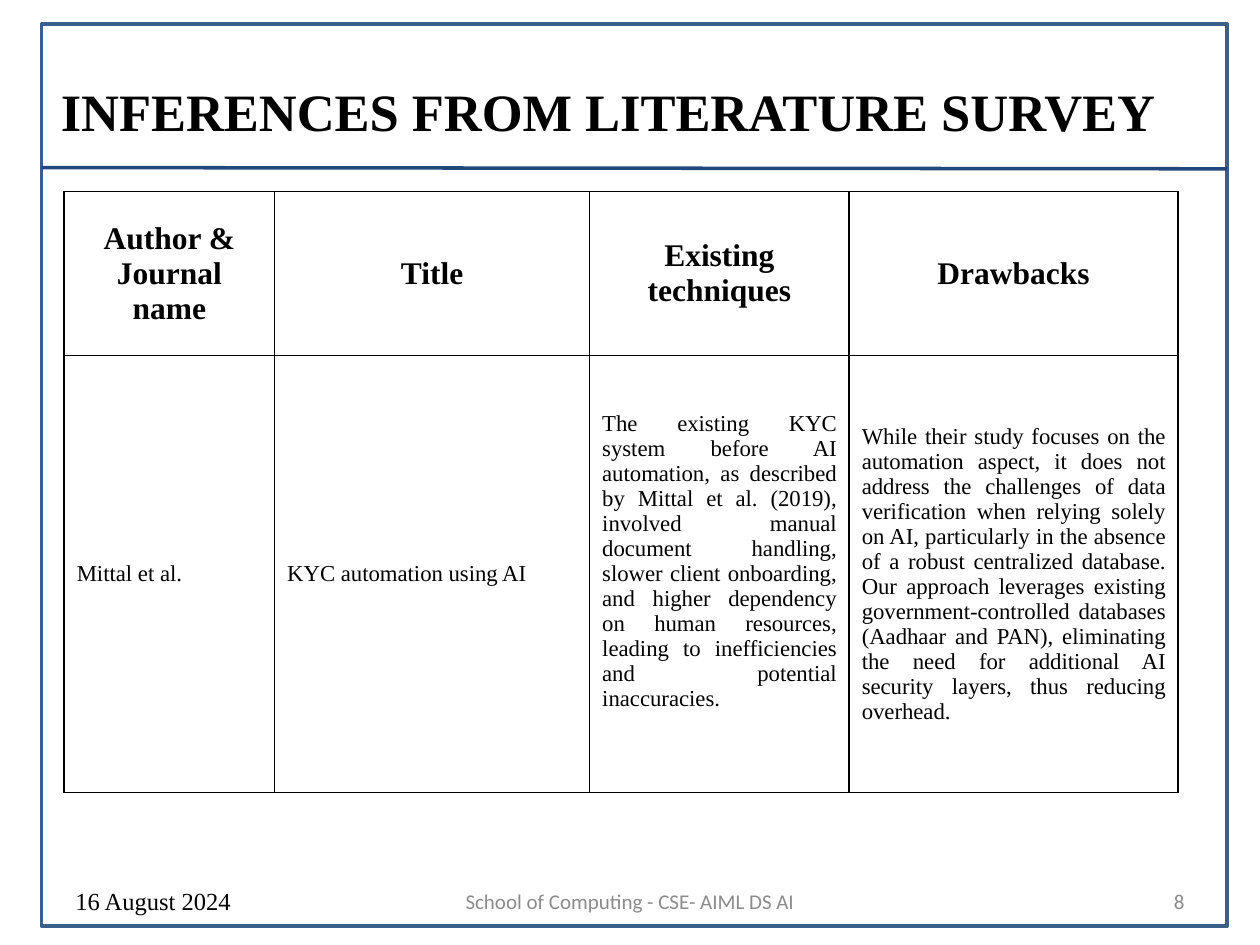
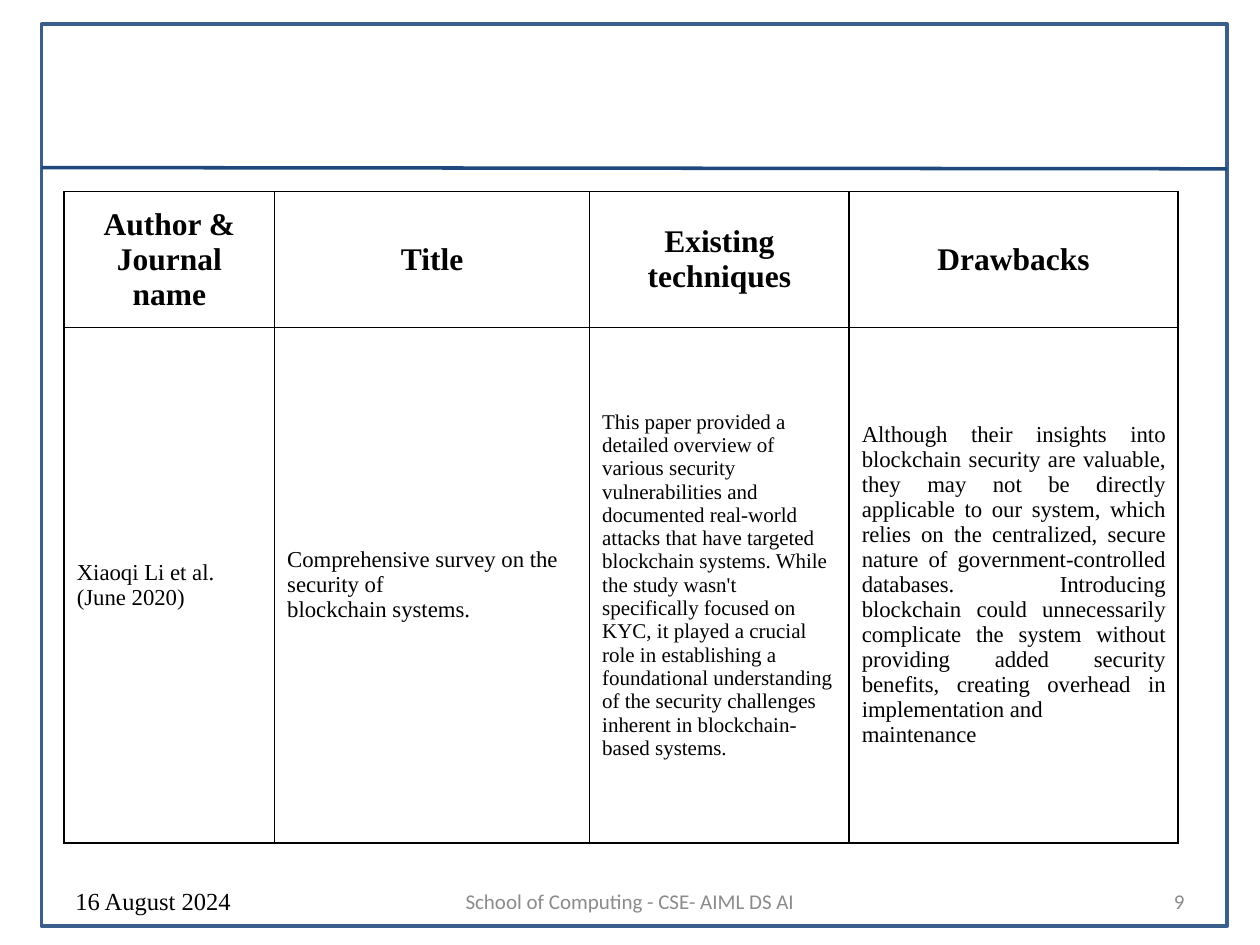
from lxml import etree
from pptx import Presentation
from pptx import util as u
from pptx.dml.color import RGBColor
from pptx.enum import shapes, text
from pptx.oxml.ns import qn

Inches = u.Inches
C = {"frame": "3A5F8B", "rule": "1F497D", "text": "000000", "muted": "8B8B8B"}
SERIF, SANS = "Times New Roman", "Calibri"
AL = text.PP_ALIGN
MIDDLE = text.MSO_ANCHOR.MIDDLE


def write(tf, content, size, font=SERIF, color="text", bold=False, align=AL.LEFT):
    tf.text = content
    tf.word_wrap = True
    for p in tf.paragraphs:
        p.alignment = align
        for r in p.runs:
            r.font.size = u.Pt(size)
            r.font.name = font
            r.font.bold = bold
            r.font.color.rgb = RGBColor.from_string(C[color])


def add_text(s, box, content, size, **style):
    sp = s.shapes.add_textbox(*map(Inches, box))
    sp.text_frame.vertical_anchor = MIDDLE
    write(sp.text_frame, content, size, **style)


HEADERS = ["Author & Journal name", "Title", "Existing techniques", "Drawbacks"]
COL_WIDTHS = [1.67, 2.5, 2.06, 2.61]
SLIDES = [
    {
        "number": "8",
        "title": "INFERENCES FROM LITERATURE SURVEY",
        "rows": [1.3, 3.47],
        "techniques": (13, AL.JUSTIFY, 0.25),
        "entry": [
            "Mittal et al.",
            "KYC automation using AI",
            "The existing KYC system before AI automation, as described by Mittal et al. "
            "(2019), involved manual document handling, slower client onboarding, and "
            "higher dependency on human resources, leading to inefficiencies and "
            "potential inaccuracies.",
            "While their study focuses on the automation aspect, it does not address the "
            "challenges of data verification when relying solely on AI, particularly in "
            "the absence of a robust centralized database. Our approach leverages "
            "existing government-controlled databases (Aadhaar and PAN), eliminating the "
            "need for additional AI security layers, thus reducing overhead.",
        ],
    },
    {
        "number": "9",
        "title": None,
        "rows": [1.08, 4.09],
        "techniques": (12, AL.LEFT, 0.05),
        "entry": [
            "Xiaoqi Li et al. (June 2020)",
            "Comprehensive survey on the security of\nblockchain systems.",
            "This paper provided a detailed overview of various security vulnerabilities "
            "and documented real-world attacks that have targeted blockchain systems. "
            "While the study wasn't specifically focused on KYC, it played a crucial role "
            "in establishing a foundational understanding of the security challenges "
            "inherent in blockchain-based systems.",
            "Although their insights into blockchain security are valuable, they may not "
            "be directly applicable to our system, which relies on the centralized, "
            "secure nature of government-controlled databases. Introducing blockchain "
            "could unnecessarily complicate the system without providing added security "
            "benefits, creating overhead in implementation and\nmaintenance",
        ],
    },
]

prs = Presentation()
prs.slide_width, prs.slide_height = Inches(10), Inches(7.5)

for data in SLIDES:
    s = prs.slides.add_slide(prs.slide_layouts[6])

    frame = s.shapes.add_shape(shapes.MSO_SHAPE.RECTANGLE, *map(Inches, (0.33, 0.19, 9.41, 7.16)))
    frame.shadow.inherit = False
    frame.fill.background()
    frame.line.color.rgb = RGBColor.from_string(C["frame"])
    frame.line.width = u.Pt(2)

    rule = s.shapes.add_connector(shapes.MSO_CONNECTOR.STRAIGHT, *map(Inches, (0.33, 1.33, 9.74, 1.34)))
    rule.line.color.rgb = RGBColor.from_string(C["rule"])
    rule.line.width = u.Pt(2)
    etree.SubElement(rule._element.spPr, qn("a:effectLst"))

    if data["title"]:
        add_text(s, (0.33, 0.25, 9, 1.25), data["title"], 30, bold=True, align=AL.CENTER)

    table = s.shapes.add_table(
        2, 4, *map(Inches, (0.51, 1.52, sum(COL_WIDTHS), sum(data["rows"])))
    ).table
    table.first_row = table.horz_banding = False
    for col, width in zip(table.columns, COL_WIDTHS):
        col.width = Inches(width)
    for row, height in zip(table.rows, data["rows"]):
        row.height = Inches(height)

    size, align, bottom = data["techniques"]
    entry_styles = [(13, AL.LEFT), (13, AL.LEFT), (size, align), (13, AL.JUSTIFY)]
    for i in range(4):
        write(table.cell(0, i).text_frame, HEADERS[i], 18, bold=True, align=AL.CENTER)
        size, align = entry_styles[i]
        write(table.cell(1, i).text_frame, data["entry"][i], size, align=align)
    table.cell(1, 2).margin_bottom = Inches(bottom)

    for cell in table.iter_cells():
        cell.vertical_anchor = MIDDLE
        tcPr = cell._tc.get_or_add_tcPr()
        for side in ("a:lnL", "a:lnR", "a:lnT", "a:lnB"):
            ln = etree.SubElement(tcPr, qn(side), w=str(u.Pt(0.96)))
            fill = etree.SubElement(ln, qn("a:solidFill"))
            etree.SubElement(fill, qn("a:srgbClr"), val=C["text"])
        cell.fill.background()

    add_text(s, (3.42, 6.95, 3.16, 0.4), "School of Computing - CSE- AIML DS AI", 12,
             font=SANS, color="muted", align=AL.CENTER)
    add_text(s, (7.17, 6.95, 2.33, 0.4), data["number"], 12, font=SANS, color="muted", align=AL.RIGHT)
    add_text(s, (0.5, 6.95, 2.33, 0.4), "16 August 2024", 14)

prs.save("out.pptx")
